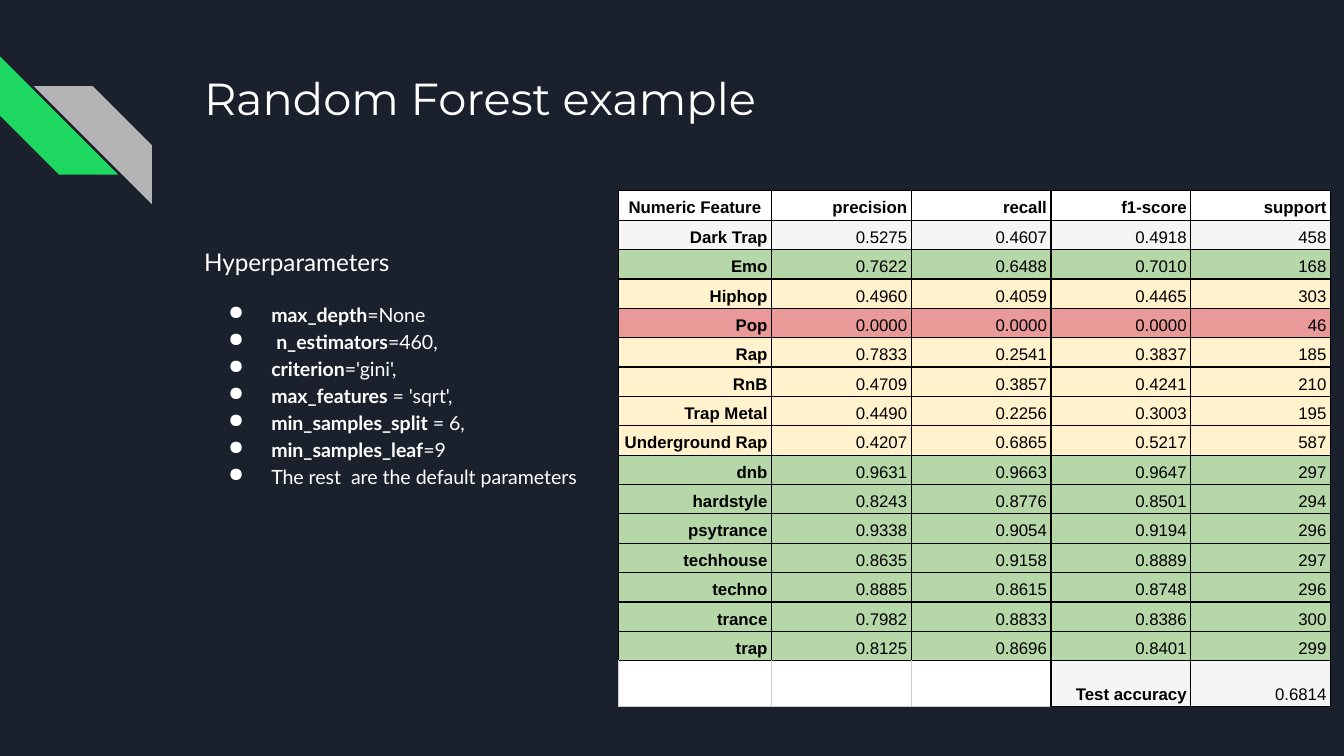
from lxml import etree
from pptx import Presentation
from pptx import util as u
from pptx.dml.color import RGBColor
from pptx.enum import shapes, text
from pptx.oxml.ns import qn

NAVY = RGBColor(0x1B, 0x21, 0x2C)
BRIGHT_GREEN = RGBColor(0x1E, 0xD7, 0x60)
GREY = RGBColor(0xB3, 0xB3, 0xB3)
WHITE = RGBColor(0xFF, 0xFF, 0xFF)
BLACK = RGBColor(0x00, 0x00, 0x00)
PALE_GREY = RGBColor(0xF5, 0xF5, 0xF5)
RULE_GREY = RGBColor(0xCC, 0xCC, 0xCC)
GOOD = RGBColor(0xB6, 0xD7, 0xA8)
FAIR = RGBColor(0xFF, 0xF2, 0xCC)
POOR = RGBColor(0xEA, 0x99, 0x99)

TITLE = "Random Forest example"
SUBHEAD = "Hyperparameters"
# Each item: runs of (words, bold)
PARAMETERS = [
    [("max_depth", True), ("=None", False)],
    [(" ", False), ("n_estimators", True), ("=460,", False)],
    [("criterion", True), ("='gini',", False)],
    [("max_features ", True), ("= 'sqrt',", False)],
    [("min_samples_split ", True), ("= 6,", False)],
    [("min_samples_leaf", True), ("=9", False)],
    [("The rest  are the default parameters", False)],
]
HEADER = ["Numeric Feature", "precision", "recall", "f1-score", "support"]
# Row fill, then genre and its scores
SCORES = [
    (PALE_GREY, "Dark Trap", "0.5275", "0.4607", "0.4918", "458"),
    (GOOD, "Emo", "0.7622", "0.6488", "0.7010", "168"),
    (FAIR, "Hiphop", "0.4960", "0.4059", "0.4465", "303"),
    (POOR, "Pop", "0.0000", "0.0000", "0.0000", "46"),
    (FAIR, "Rap", "0.7833", "0.2541", "0.3837", "185"),
    (FAIR, "RnB", "0.4709", "0.3857", "0.4241", "210"),
    (FAIR, "Trap Metal", "0.4490", "0.2256", "0.3003", "195"),
    (FAIR, "Underground Rap", "0.4207", "0.6865", "0.5217", "587"),
    (GOOD, "dnb", "0.9631", "0.9663", "0.9647", "297"),
    (GOOD, "hardstyle", "0.8243", "0.8776", "0.8501", "294"),
    (GOOD, "psytrance", "0.9338", "0.9054", "0.9194", "296"),
    (GOOD, "techhouse", "0.8635", "0.9158", "0.8889", "297"),
    (GOOD, "techno", "0.8885", "0.8615", "0.8748", "296"),
    (GOOD, "trance", "0.7982", "0.8833", "0.8386", "300"),
    (GOOD, "trap", "0.8125", "0.8696", "0.8401", "299"),
]
ACCURACY = ["", "", "", "Test accuracy", "0.6814"]

COLUMN_WIDTHS = [1.14] + [1.04] * 4
ROW_HEIGHT = u.Pt(15.75)
LAST_ROW_HEIGHT = u.Inches(0.32)
LINE_SPACING = 1.15


def add_run(p, words, font, size, color, bold=False):
    r = p.add_run()
    r.text = words
    r.font.name, r.font.size, r.font.bold = font, u.Pt(size), bold
    r.font.color.rgb = color


def add_text_frame(slide, *box):
    tf = slide.shapes.add_textbox(*map(u.Inches, box)).text_frame
    tf.word_wrap = True
    tf.margin_left = tf.margin_right = u.Inches(0.1)
    tf.margin_top = tf.margin_bottom = u.Inches(0.1)
    return tf


def add_stripe(slide, left, top, color):
    side = u.Inches(0.88)
    sp = slide.shapes.add_shape(shapes.MSO_SHAPE.DIAGONAL_STRIPE,
                                u.Inches(left), u.Inches(top), side, side)
    sp.shadow.inherit = False
    sp.fill.solid()
    sp.fill.fore_color.rgb = color
    sp.line.fill.background()
    return sp


def add_bullet(p):
    pPr = p._p.get_or_add_pPr()
    pPr.set("marL", str(u.Inches(0.5)))
    pPr.set("indent", str(u.Inches(-0.32)))
    color = etree.SubElement(pPr, qn("a:buClr"))
    etree.SubElement(color, qn("a:srgbClr"), val=str(WHITE))
    etree.SubElement(pPr, qn("a:buChar"), char="●")


def set_borders(cell, left, right, top, bottom):
    tcPr = cell._tc.get_or_add_tcPr()
    for side, color in zip("LRTB", (left, right, top, bottom)):
        ln = etree.SubElement(tcPr, qn("a:ln" + side), w=str(u.Pt(0.75)))
        fill = etree.SubElement(ln, qn("a:solidFill"))
        etree.SubElement(fill, qn("a:srgbClr"), val=str(color))


def fill_cell(cell, words, fill, bold, align):
    cell.margin_left = cell.margin_right = u.Inches(0.03)
    cell.margin_top = cell.margin_bottom = u.Inches(0.02)
    cell.vertical_anchor = text.MSO_ANCHOR.BOTTOM
    cell.fill.solid()
    cell.fill.fore_color.rgb = fill
    if words:
        p = cell.text_frame.paragraphs[0]
        p.alignment, p.line_spacing = align, LINE_SPACING
        add_run(p, words, "Arial", 9, BLACK, bold)


def add_score_table(slide):
    rows = ([(WHITE, *HEADER)] + SCORES + [(PALE_GREY, *ACCURACY)])
    last = len(rows) - 1
    table = slide.shapes.add_table(
        len(rows), len(HEADER), u.Inches(4.6), u.Inches(1.42),
        u.Inches(sum(COLUMN_WIDTHS)), ROW_HEIGHT * last + LAST_ROW_HEIGHT).table
    table.first_row = table.horz_banding = False
    for column, width in zip(table.columns, COLUMN_WIDTHS):
        column.width = u.Inches(width)
    label_column = ACCURACY.index("Test accuracy")
    for i, (fill, *values) in enumerate(rows):
        table.rows[i].height = LAST_ROW_HEIGHT if i == last else ROW_HEIGHT
        for j, words in enumerate(values):
            cell = table.cell(i, j)
            outer = BLACK if words else RULE_GREY
            right = BLACK if j == label_column - 1 else outer
            set_borders(cell, outer, right, BLACK, outer)
            bold = i == 0 or j == (label_column if i == last else 0)
            centred = i == j == 0
            fill_cell(cell, words, fill if words else WHITE, bold,
                      text.PP_ALIGN.CENTER if centred else text.PP_ALIGN.RIGHT)


def main():
    prs = Presentation()
    prs.slide_width = u.Inches(10)
    prs.slide_height = prs.slide_width * 9 // 16
    slide = prs.slides.add_slide(prs.slide_layouts[6])
    slide.background.fill.solid()
    slide.background.fill.fore_color.rgb = NAVY

    add_stripe(slide, 0, 0.42, BRIGHT_GREEN).rotation = 270
    grey_stripe = add_stripe(slide, 0.25, 0.64, GREY)
    grey_stripe._element.spPr.xfrm.set("flipH", "1")

    tf = add_text_frame(slide, 1.42, 0.43, 7.7, 1)
    add_run(tf.paragraphs[0], TITLE, "Montserrat", 24, WHITE)

    add_score_table(slide)

    tf = add_text_frame(slide, 1.42, 1.71, 3.72, 3.18)
    p = tf.paragraphs[0]
    p.line_spacing = LINE_SPACING
    add_run(p, SUBHEAD, "Lato", 13, WHITE)
    for i, runs in enumerate(PARAMETERS):
        p = tf.add_paragraph()
        p.line_spacing = LINE_SPACING
        p.space_before = u.Pt(0 if i else 12)
        add_bullet(p)
        for words, bold in runs:
            add_run(p, words, "Lato", 10.5, WHITE, bold)

    prs.save("out.pptx")


if __name__ == "__main__":
    main()
